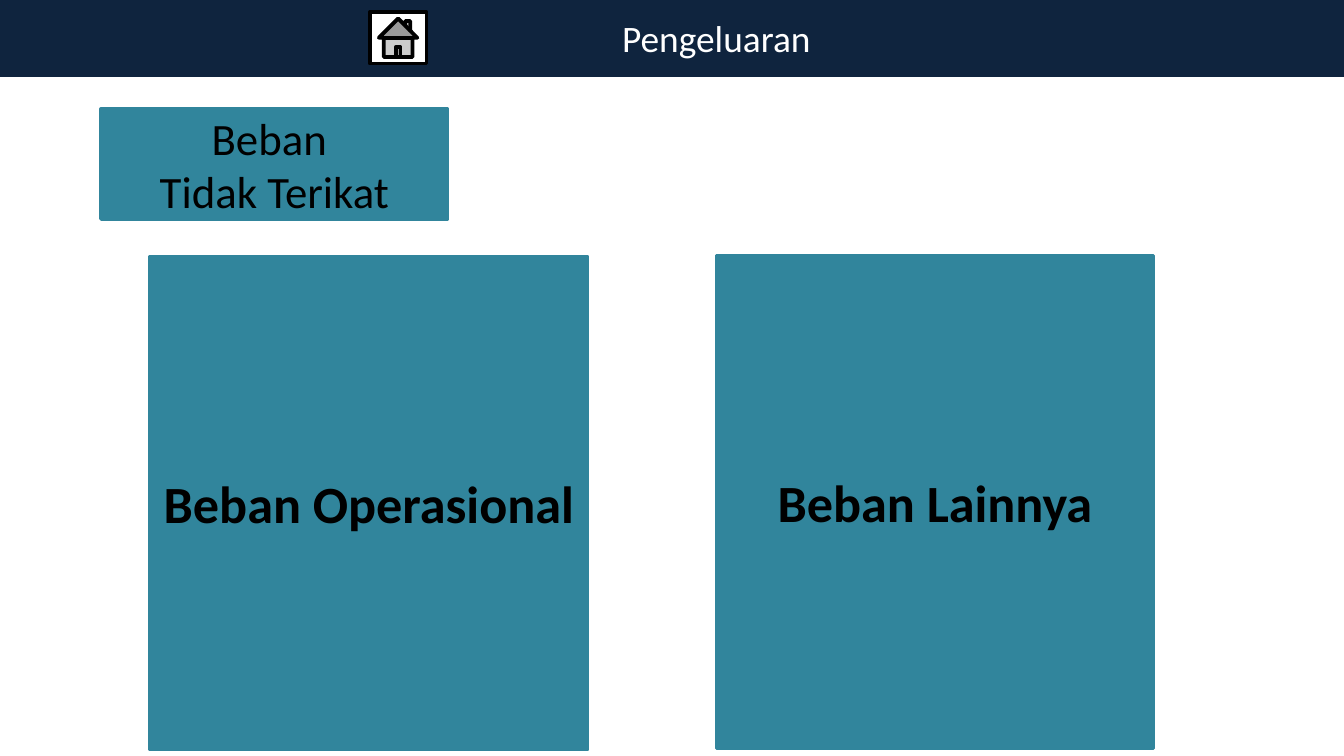
"""Build the Pengeluaran slide with its header bar and expense cards."""
import pptx
import pptx.dml.color
import pptx.enum.shapes
import pptx.enum.text
import pptx.util

Cm = pptx.util.Cm
Shape = pptx.enum.shapes.MSO_SHAPE
Anchor = pptx.enum.text.MSO_ANCHOR

TITLE = "Pengeluaran"
CATEGORY = ["Beban ", "Tidak Terikat"]
CARDS = [("Beban Operasional", 2.84, 4.85), ("Beban Lainnya", 13.54, 4.83)]

THEME = {
    "font": "Calibri",
    "navy": "0F243E",
    "teal": "31859C",
    "white": "FFFFFF",
    "black": "000000",
    "title_size": 20,
    "category_size": 24,
    "card_size": 28,
    "line_width": 2,
}
PAGE_WIDTH, PAGE_HEIGHT = 25.4, 14.29
BAR_HEIGHT = 1.42
CARD_WIDTH, CARD_HEIGHT = 8.26, 9.32


def color(name):
    return pptx.dml.color.RGBColor.from_string(THEME[name])


def add_box(page, kind, left, top, width, height, fill, line):
    box = page.shapes.add_shape(kind, Cm(left), Cm(top), Cm(width), Cm(height))
    box.shadow.inherit = False
    box.fill.solid()
    box.fill.fore_color.rgb = color(fill)
    box.line.color.rgb = color(line)
    box.line.width = pptx.util.Pt(THEME["line_width"])
    return box


def write(box, lines, size, ink="black", bold=False, anchor=Anchor.MIDDLE, margin=0.13):
    frame = box.text_frame
    frame.word_wrap = True
    frame.auto_size = pptx.enum.text.MSO_AUTO_SIZE.NONE
    frame.vertical_anchor = anchor
    frame.margin_left = frame.margin_right = Cm(0.1)
    frame.margin_top = frame.margin_bottom = Cm(margin)
    for index, text in enumerate(lines):
        para = frame.add_paragraph() if index else frame.paragraphs[0]
        para.alignment = pptx.enum.text.PP_ALIGN.CENTER
        span = para.add_run()
        span.text = text
        span.font.name = THEME["font"]
        span.font.size = pptx.util.Pt(THEME[size])
        span.font.bold = bold
        span.font.color.rgb = color(ink)


def main():
    deck = pptx.Presentation()
    deck.slide_width, deck.slide_height = Cm(PAGE_WIDTH), Cm(PAGE_HEIGHT)
    page = deck.slides.add_slide(deck.slide_layouts.get_by_name("Title Only"))

    add_box(page, Shape.RECTANGLE, 0, 0, PAGE_WIDTH, BAR_HEIGHT, "navy", "navy")
    add_box(page, Shape.ACTION_BUTTON_HOME, 6.99, 0.23, 1.07, 0.97, "white", "black")

    category = add_box(page, Shape.RECTANGLE, 1.91, 2.06, 6.55, 2.08, "teal", "teal")
    write(category, CATEGORY, "category_size")

    for label, left, top in CARDS:
        card = add_box(page, Shape.RECTANGLE, left, top, CARD_WIDTH, CARD_HEIGHT, "teal", "teal")
        write(card, [label], "card_size", bold=True)

    title = page.shapes.title
    title.left, title.top, title.width, title.height = Cm(11), Cm(0.15), Cm(5.08), Cm(1.12)
    write(title, [TITLE], "title_size", ink="white", anchor=Anchor.TOP)
    title.element.getparent().append(title.element)

    deck.save("out.pptx")


if __name__ == "__main__":
    main()
